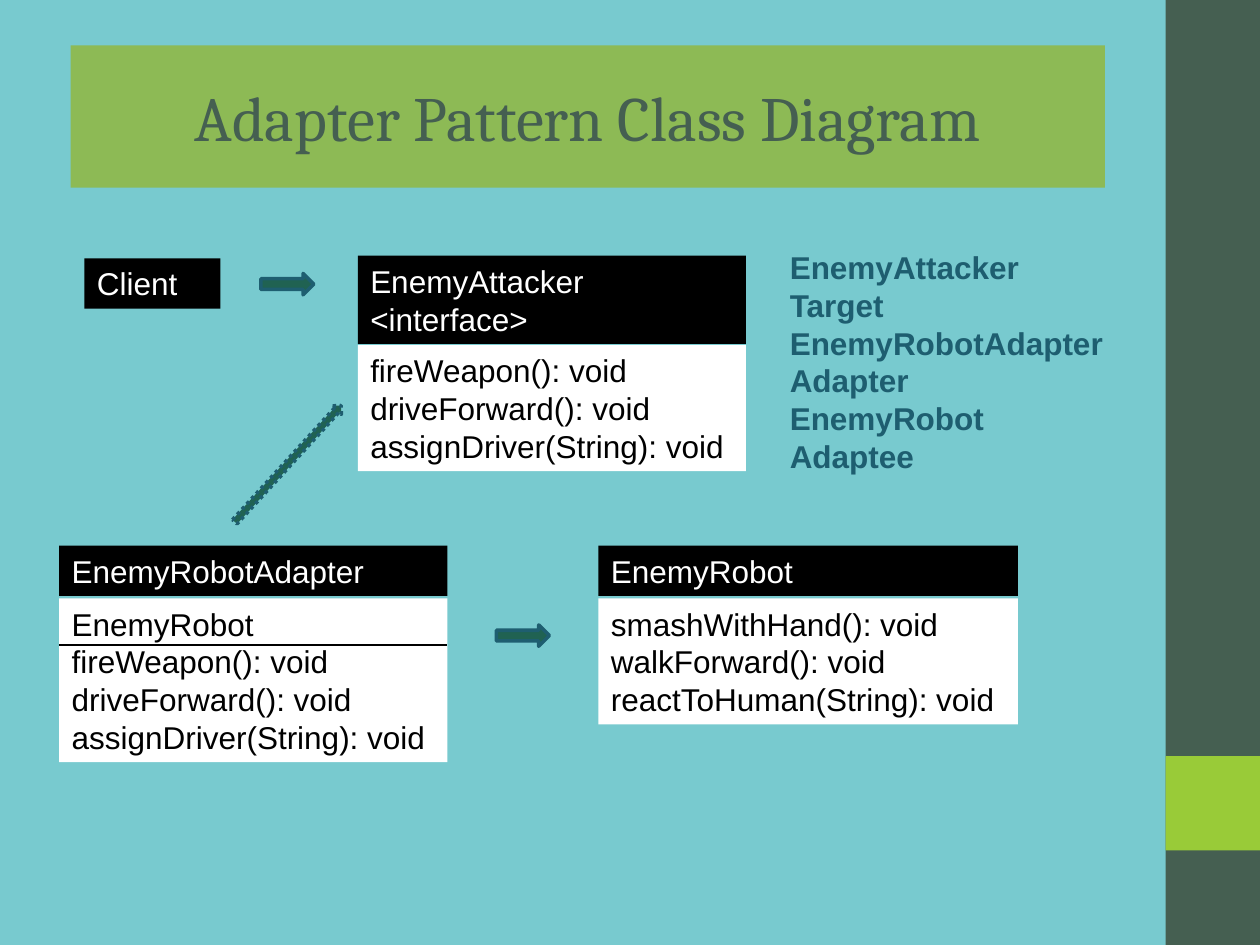
"""Build the Adapter pattern class diagram slide."""
from pptx import Presentation
from pptx.dml.color import RGBColor
from pptx.enum.dml import MSO_LINE
from pptx.enum.shapes import MSO_CONNECTOR, MSO_SHAPE
from pptx.enum.text import MSO_ANCHOR, MSO_AUTO_SIZE, PP_ALIGN
from pptx.oxml.ns import qn
from pptx.util import Pt
from lxml.etree import SubElement

PX = 9144
THEME = {
    "background": RGBColor.from_string("78CACF"),
    "sidebar": RGBColor.from_string("455F51"),
    "accent": RGBColor.from_string("99CB38"),
    "banner": RGBColor.from_string("8DBA55"),
    "arrow": RGBColor.from_string("206252"),
    "outline": RGBColor.from_string("1E5E70"),
    "black": RGBColor.from_string("000000"),
    "white": RGBColor.from_string("FFFFFF"),
    "title_font": {"name": "Cambria", "size": Pt(36), "bold": False},
    "class_font": {"name": "Arial", "size": Pt(18), "bold": False},
    "role_font": {"name": "Arial", "size": Pt(18), "bold": True},
}


def add_block(kind, box, fill):
    block = slide.shapes.add_shape(kind, *(n * PX for n in box))
    block.shadow.inherit = False
    block.fill.solid()
    block.fill.fore_color.rgb = THEME[fill]
    block.line.fill.background()
    return block


def write_lines(holder, lines, font, color, frame_format, align=PP_ALIGN.LEFT):
    frame = holder.text_frame
    frame.text = "\n".join(lines)
    for key, value in frame_format.items():
        setattr(frame, key, value)
    for paragraph in frame.paragraphs:
        paragraph.alignment = align
        for key, value in THEME[font].items():
            setattr(paragraph.font, key, value)
        paragraph.font.color.rgb = THEME[color]


deck = Presentation()
deck.slide_width, deck.slide_height = 1000 * PX, 750 * PX
slide = deck.slides.add_slide(deck.slide_layouts[5])
slide.background.fill.solid()
slide.background.fill.fore_color.rgb = THEME["background"]

add_block(MSO_SHAPE.RECTANGLE, (925, 0, 75, 750), "sidebar")
add_block(MSO_SHAPE.RECTANGLE, (925, 600, 75, 75), "accent")

title = slide.shapes.title
for side, length in {"left": 56, "top": 36, "width": 821, "height": 113}.items():
    setattr(title, side, length * PX)
title.fill.solid()
title.fill.fore_color.rgb = THEME["banner"]
title_format = {"word_wrap": True, "vertical_anchor": MSO_ANCHOR.MIDDLE, "auto_size": MSO_AUTO_SIZE.NONE}
write_lines(title, ["Adapter Pattern Class Diagram"], "title_font", "sidebar", title_format, PP_ALIGN.CENTER)

text_format = {
    "word_wrap": True,
    "vertical_anchor": MSO_ANCHOR.TOP,
    "auto_size": MSO_AUTO_SIZE.SHAPE_TO_FIT_TEXT,
    "margin_left": 10 * PX,
    "margin_right": 10 * PX,
    "margin_top": 5 * PX,
    "margin_bottom": 5 * PX,
}
attacker_methods = ["fireWeapon(): void", "driveForward(): void", "assignDriver(String): void"]
robot_methods = ["smashWithHand(): void", "walkForward(): void", "reactToHuman(String): void"]
compartments = [
    ((67, 205, 108, 40), "black", "white", ["Client"]),
    ((284, 203, 308, 70), "black", "white", ["EnemyAttacker", "<interface>"]),
    ((284, 274, 308, 100), "white", "black", attacker_methods),
    ((47, 433, 308, 40), "black", "white", ["EnemyRobotAdapter"]),
    ((47, 475, 308, 130), "white", "black", ["EnemyRobot", *attacker_methods]),
    ((475, 433, 333, 40), "black", "white", ["EnemyRobot"]),
    ((475, 475, 333, 100), "white", "black", robot_methods),
]
for box, fill, color, lines in compartments:
    compartment = add_block(MSO_SHAPE.RECTANGLE, box, fill)
    write_lines(compartment, lines, "class_font", color, text_format)

arrows = [
    ((207, 217, 42, 17), 0, MSO_LINE.SOLID),
    ((394, 496, 42, 17), 0, MSO_LINE.SOLID),
    ((166, 363, 125, 10), 312.4, MSO_LINE.ROUND_DOT),
]
for box, rotation, dash in arrows:
    arrow = add_block(MSO_SHAPE.RIGHT_ARROW, box, "arrow")
    arrow.rotation = rotation
    arrow.line.color.rgb = THEME["outline"]
    arrow.line.width = Pt(2)
    arrow.line.dash_style = dash

field_divider = slide.shapes.add_connector(MSO_CONNECTOR.STRAIGHT, 47 * PX, 512 * PX, 355 * PX, 512 * PX)
field_divider.line.color.rgb = THEME["black"]
field_divider.line.width = Pt(1)
SubElement(field_divider.element.spPr, qn("a:effectLst"))

roles = slide.shapes.add_textbox(617 * PX, 192 * PX, 283 * PX, 190 * PX)
role_lines = ["EnemyAttacker", "Target", "EnemyRobotAdapter", "Adapter", "EnemyRobot", "Adaptee"]
write_lines(roles, role_lines, "role_font", "outline", text_format)

deck.save("out.pptx")
